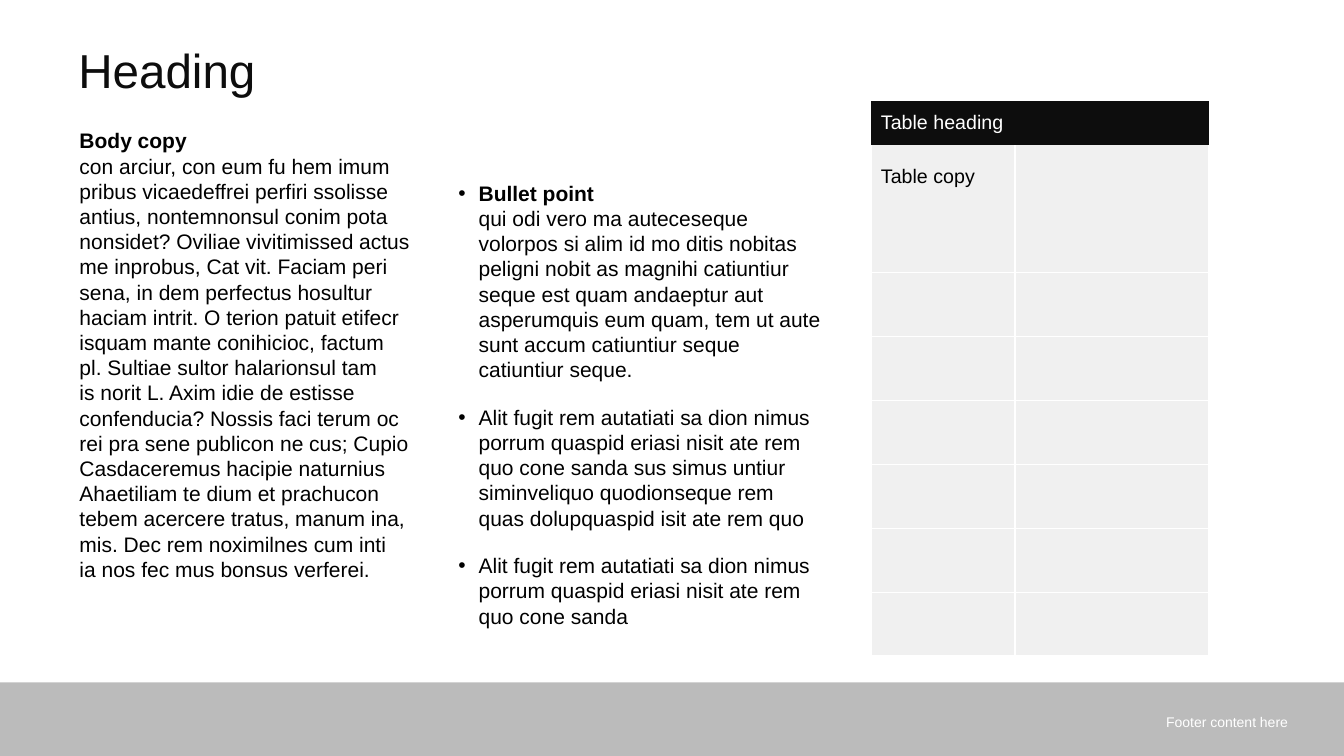
import pptx
import pptx.dml.color
import pptx.enum.shapes
import pptx.enum.text
import pptx.oxml
import pptx.oxml.ns
import pptx.util
from lxml import etree

RGBColor = pptx.dml.color.RGBColor
Pt = pptx.util.Pt
ALIGN = pptx.enum.text.PP_ALIGN
ANCHOR = pptx.enum.text.MSO_ANCHOR

INK = RGBColor(0x0D, 0x0D, 0x0D)
BLACK = RGBColor(0, 0, 0)
WHITE = RGBColor(0xFF, 0xFF, 0xFF)
CELL_GREY = RGBColor(0xF0, 0xF0, 0xF0)

FONT = "Arial"
COPY_SIZE = 15
COPY_LEADING = Pt(18)
BULLET_INDENT = pptx.util.Inches(0.2)
SLIDE_WIDTH = pptx.util.Inches(13.333)
SLIDE_HEIGHT = pptx.util.Inches(7.5)

BODY_COPY = """con arciur, con eum fu hem imum
pribus vicaedeffrei perfiri ssolisse antius, nontemnonsul conim pota nonsidet? \
Oviliae vivitimissed actus me inprobus, Cat vit. Faciam peri sena, in dem perfectus \
hosultur haciam intrit. O terion patuit etifecr isquam mante conihicioc, factum
pl. Sultiae sultor halarionsul tam
is norit L. Axim idie de estisse confenducia? Nossis faci terum oc
rei pra sene publicon ne cus; Cupio Casdaceremus hacipie naturnius Ahaetiliam te dium \
et prachucon tebem acercere tratus, manum ina, mis. Dec rem noximilnes cum inti
ia nos fec mus bonsus verferei."""

BULLETS = [
    ("Bullet point",
     "qui odi vero ma auteceseque volorpos si alim id mo ditis nobitas peligni nobit as "
     "magnihi catiuntiur seque est quam andaeptur aut asperumquis eum quam, tem ut aute "
     "sunt accum catiuntiur seque catiuntiur seque."),
    (None,
     "Alit fugit rem autatiati sa dion nimus porrum quaspid eriasi nisit ate rem\n"
     "quo cone sanda sus simus untiur siminveliquo quodionseque rem quas dolupquaspid "
     "isit ate rem quo"),
    (None,
     "Alit fugit rem autatiati sa dion nimus porrum quaspid eriasi nisit ate rem\n"
     "quo cone sanda"),
]

# Percent of the slide's width and height
TABLE_COLUMNS = [10.73, 14.4]
TABLE_ROWS = [5.87] + [8.45] * 8
TABLE_TEXT = {(0, 0): "Table heading", (1, 0): "Table copy"}


def across(percent):
    return int(SLIDE_WIDTH * percent / 100)


def down(percent):
    return int(SLIDE_HEIGHT * percent / 100)


def area(left, top, width, height):
    """Turn percentages of the slide into a position and size."""
    return across(left), down(top), across(width), down(height)


def add_span(para, text, size, color, bold=False):
    """Add text run by run, with a line break between its lines."""
    for number, line in enumerate(text.split("\n")):
        if number:
            para.add_line_break()
        span = para.add_run()
        span.text = line
        span.font.name = FONT
        span.font.size = Pt(size)
        span.font.bold = bold
        span.font.color.rgb = color


def add_frame(page, place, anchor=ANCHOR.TOP):
    frame = page.shapes.add_textbox(*place).text_frame
    frame.word_wrap = True
    frame.vertical_anchor = anchor
    return frame


def add_line(page, place, text, size, color, align=ALIGN.LEFT, anchor=ANCHOR.TOP, spacing=1.0):
    para = add_frame(page, place, anchor).paragraphs[0]
    para.alignment = align
    para.line_spacing = spacing
    add_span(para, text, size, color)


def add_bullet(para):
    properties = para._p.get_or_add_pPr()
    properties.set("marL", str(BULLET_INDENT))
    properties.set("indent", str(-BULLET_INDENT))
    font = etree.SubElement(properties, pptx.oxml.ns.qn("a:buFont"))
    font.set("typeface", FONT)
    bullet = etree.SubElement(properties, pptx.oxml.ns.qn("a:buChar"))
    bullet.set("char", "•")


def add_copy(page, place, entries, space_after, bulleted=False):
    """Add a column of copy; each entry is a bold lead-in, or None, and its text."""
    frame = add_frame(page, place)
    for number, (lead, text) in enumerate(entries):
        para = frame.add_paragraph() if number else frame.paragraphs[0]
        para.line_spacing = COPY_LEADING
        para.space_after = Pt(space_after)
        if bulleted:
            add_bullet(para)
        if lead:
            add_span(para, lead, COPY_SIZE, BLACK, bold=True)
            para.add_line_break()
        add_span(para, text, COPY_SIZE, BLACK)


def set_borders(cell, visible):
    """Draw white lines on the named sides (L, R, T, B) and none on the others."""
    properties = cell._tc.get_or_add_tcPr()
    for side in "LRTB":
        line = etree.SubElement(properties, pptx.oxml.ns.qn("a:ln" + side))
        line.set("w", str(Pt(1)))
        if side in visible:
            fill = etree.SubElement(line, pptx.oxml.ns.qn("a:solidFill"))
            etree.SubElement(fill, pptx.oxml.ns.qn("a:srgbClr")).set("val", str(WHITE))
        else:
            etree.SubElement(line, pptx.oxml.ns.qn("a:noFill"))


def add_grid(page, left, top):
    place = area(left, top, sum(TABLE_COLUMNS), sum(TABLE_ROWS))
    table = page.shapes.add_table(len(TABLE_ROWS), len(TABLE_COLUMNS), *place).table
    table.horz_banding = False
    for column, width in zip(table.columns, TABLE_COLUMNS):
        column.width = across(width)
    borders = {0: "", 1: "LR", 2: "LRB"}
    for row_number, height in enumerate(TABLE_ROWS):
        table.rows[row_number].height = down(height)
        heading = row_number == 0
        for column_number in range(len(TABLE_COLUMNS)):
            cell = table.cell(row_number, column_number)
            set_borders(cell, borders.get(row_number, "LRTB"))
            cell.fill.solid()
            cell.fill.fore_color.rgb = INK if heading else CELL_GREY
            cell.vertical_anchor = ANCHOR.MIDDLE
            text = TABLE_TEXT.get((row_number, column_number))
            if text:
                add_span(cell.text_frame.paragraphs[0], text, 14, WHITE if heading else BLACK)


def add_footer_band(page, place, opacity):
    band = page.shapes.add_shape(pptx.enum.shapes.MSO_SHAPE.RECTANGLE, *place)
    band.shadow.inherit = False
    band.line.fill.background()
    band.fill.solid()
    band.fill.fore_color.rgb = INK
    color = band._element.spPr.find(".//" + pptx.oxml.ns.qn("a:srgbClr"))
    etree.SubElement(color, pptx.oxml.ns.qn("a:alpha")).set("val", str(opacity * 1000))


def main():
    deck = pptx.Presentation()
    deck.slide_width = SLIDE_WIDTH
    deck.slide_height = SLIDE_HEIGHT
    page = deck.slides.add_slide(deck.slide_layouts[6])

    add_footer_band(page, area(0, 90.27, 100, 9.73), opacity=28)
    add_line(page, area(5.1, 5.6, 59.64, 10.67), "Heading", 34, INK, spacing=0.9)
    add_copy(page, area(5.18, 16.27, 28.2, 74), [("Body copy", BODY_COPY)], space_after=8)
    add_copy(page, area(33.38, 23.2, 28.5, 65.87), BULLETS, space_after=16, bulleted=True)
    add_grid(page, 64.8, 13.33)
    add_line(page, area(52.36, 92.8, 44.2, 5.33), "Footer content here", 10, WHITE,
             align=ALIGN.RIGHT, anchor=ANCHOR.MIDDLE)

    deck.save("out.pptx")


if __name__ == "__main__":
    main()
